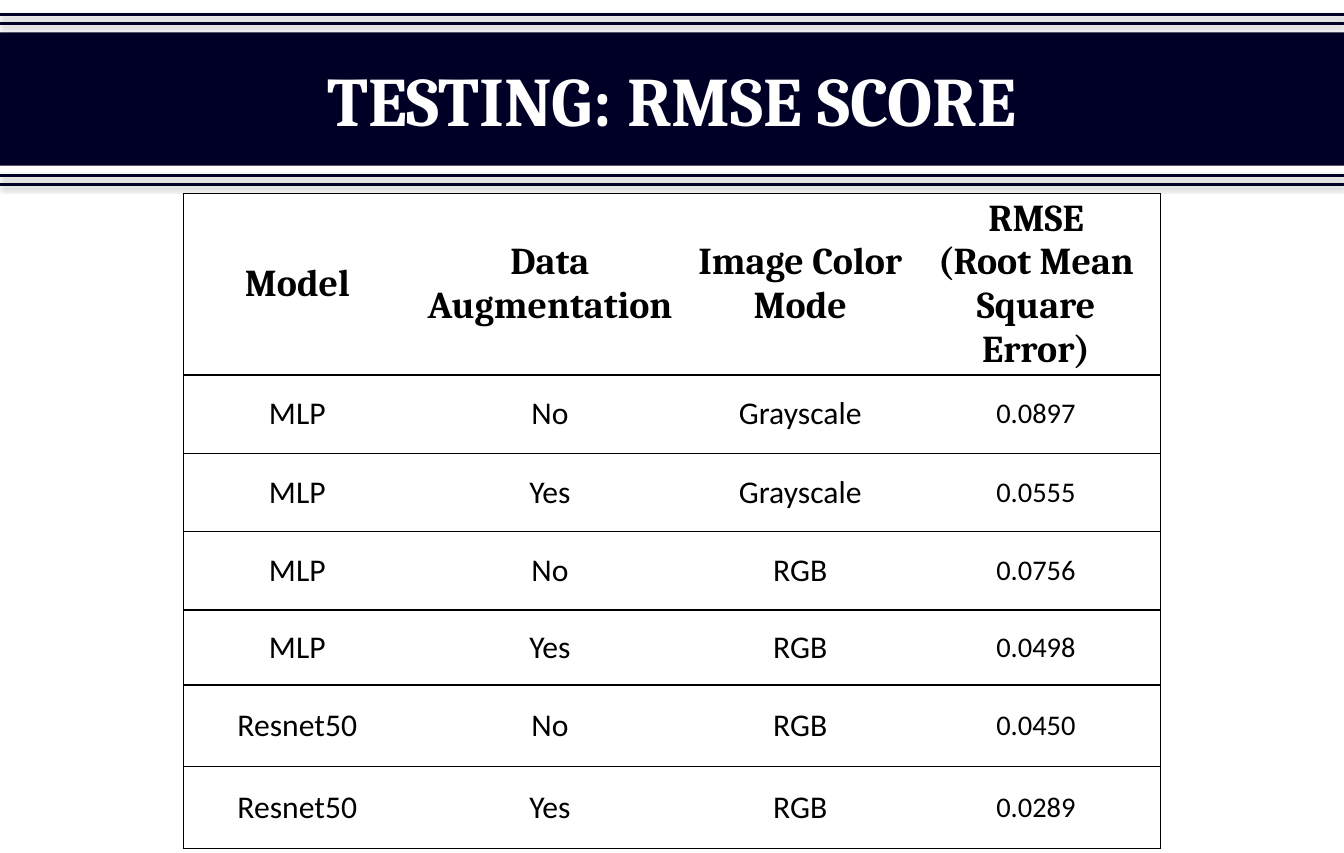
from dataclasses import dataclass

from lxml.etree import SubElement
from pptx import Presentation
from pptx.dml.color import RGBColor
from pptx.enum.shapes import MSO_CONNECTOR
from pptx.enum.text import MSO_ANCHOR, MSO_AUTO_SIZE, PP_ALIGN
from pptx.oxml import parse_xml
from pptx.oxml.ns import nsdecls, qn
from pptx.slide import Slide
from pptx.table import _Cell
from pptx.text.text import TextFrame
from pptx.util import Emu, Pt

EMU_PER_PX = 9000
SLIDE_WIDTH, SLIDE_HEIGHT = 1200, 762
NAVY = RGBColor(0x00, 0x00, 0x26)
WHITE = RGBColor(0xFF, 0xFF, 0xFF)
BLACK = RGBColor(0x00, 0x00, 0x00)

STRIPE_TOPS = (13, 21, 157, 165)
COLUMN_WIDTHS = (203, 248, 199, 222)
ROW_HEIGHTS = (162, 70, 70, 70, 67, 73, 73)
HEADINGS = ("Model", "Data Augmentation", "Image Color Mode", "RMSE\n(Root Mean Square Error)")


@dataclass(frozen=True)
class Score:
    model: str
    augmentation: str
    color_mode: str
    rmse: str


@dataclass(frozen=True)
class TextStyle:
    font: str
    size: int
    bold: bool
    color: RGBColor


TITLE_STYLE = TextStyle("Cambria", 44, True, WHITE)
HEADING_STYLE = TextStyle("Cambria", 24, True, BLACK)
LABEL_STYLE = TextStyle("Calibri", 20, False, BLACK)
RMSE_STYLE = TextStyle("Calibri", 18, False, BLACK)

SCORES = (
    Score("MLP", "No", "Grayscale", "0.0897"),
    Score("MLP", "Yes", "Grayscale", "0.0555"),
    Score("MLP", "No", "RGB", "0.0756"),
    Score("MLP", "Yes", "RGB", "0.0498"),
    Score("Resnet50", "No", "RGB", "0.0450"),
    Score("Resnet50", "Yes", "RGB", "0.0289"),
)


def px(length: int) -> Emu:
    return Emu(length * EMU_PER_PX)


def write(frame: TextFrame, text: str, style: TextStyle) -> None:
    frame.text = text
    for paragraph in frame.paragraphs:
        paragraph.alignment = PP_ALIGN.CENTER
        for run in paragraph.runs:
            run.font.name = style.font
            run.font.size = Pt(style.size)
            run.font.bold = style.bold
            run.font.color.rgb = style.color


def add_banner(slide: Slide) -> None:
    banner = slide.shapes.title
    banner.left, banner.top = px(0), px(29)
    banner.width, banner.height = px(SLIDE_WIDTH), px(119)
    banner.fill.solid()
    banner.fill.fore_color.rgb = NAVY
    banner.text_frame.auto_size = MSO_AUTO_SIZE.NONE
    banner.text_frame.vertical_anchor = MSO_ANCHOR.MIDDLE
    write(banner.text_frame, "TESTING: RMSE SCORE", TITLE_STYLE)


def add_stripe(slide: Slide, top: int) -> None:
    stripe = slide.shapes.add_connector(
        MSO_CONNECTOR.STRAIGHT, px(0), px(top), px(SLIDE_WIDTH), px(top)
    )
    stripe.line.color.rgb = NAVY
    stripe.line.width = Pt(2)
    stripe._element.spPr.append(parse_xml(
        f'<a:effectLst {nsdecls("a")}>'
        '<a:outerShdw blurRad="40000" dist="20000" dir="5400000" rotWithShape="0">'
        '<a:srgbClr val="000000"><a:alpha val="38000"/></a:srgbClr>'
        '</a:outerShdw></a:effectLst>'
    ))


def set_borders(cell: _Cell, visible_sides: str) -> None:
    properties = cell._tc.get_or_add_tcPr()
    for position, side in enumerate("LRTB"):
        border = SubElement(properties, qn(f"a:ln{side}"), w=str(Pt(1)))
        if side in visible_sides:
            fill = SubElement(border, qn("a:solidFill"))
            SubElement(fill, qn("a:srgbClr"), val=str(BLACK))
        else:
            SubElement(border, qn("a:noFill"))
        properties.insert(position, border)


def fill_cell(cell: _Cell, text: str, style: TextStyle, visible_sides: str) -> None:
    cell.fill.background()
    cell.vertical_anchor = MSO_ANCHOR.MIDDLE
    cell.margin_left = cell.margin_right = px(7)
    cell.margin_top = cell.margin_bottom = px(0)
    write(cell.text_frame, text, style)
    set_borders(cell, visible_sides)


def add_scores(slide: Slide) -> None:
    table = slide.shapes.add_table(
        len(ROW_HEIGHTS), len(COLUMN_WIDTHS),
        px(164), px(173), px(sum(COLUMN_WIDTHS)), px(sum(ROW_HEIGHTS)),
    ).table
    table.first_row = table.horz_banding = False
    for column, width in zip(table.columns, COLUMN_WIDTHS):
        column.width = px(width)
    for row, height in zip(table.rows, ROW_HEIGHTS):
        row.height = px(height)

    label_styles = (LABEL_STYLE,) * 3 + (RMSE_STYLE,)
    lines = [(HEADINGS, (HEADING_STYLE,) * 4)]
    lines += [((s.model, s.augmentation, s.color_mode, s.rmse), label_styles) for s in SCORES]
    sides = ("LTB", "TB", "TB", "RTB")
    for row, (texts, styles) in zip(table.rows, lines):
        for cell, text, style, visible_sides in zip(row.cells, texts, styles, sides):
            fill_cell(cell, text, style, visible_sides)


def main() -> None:
    presentation = Presentation()
    presentation.slide_width = px(SLIDE_WIDTH)
    presentation.slide_height = px(SLIDE_HEIGHT)
    slide = presentation.slides.add_slide(presentation.slide_layouts[5])
    add_banner(slide)
    for top in STRIPE_TOPS:
        add_stripe(slide, top)
    add_scores(slide)
    presentation.save("out.pptx")


if __name__ == "__main__":
    main()
